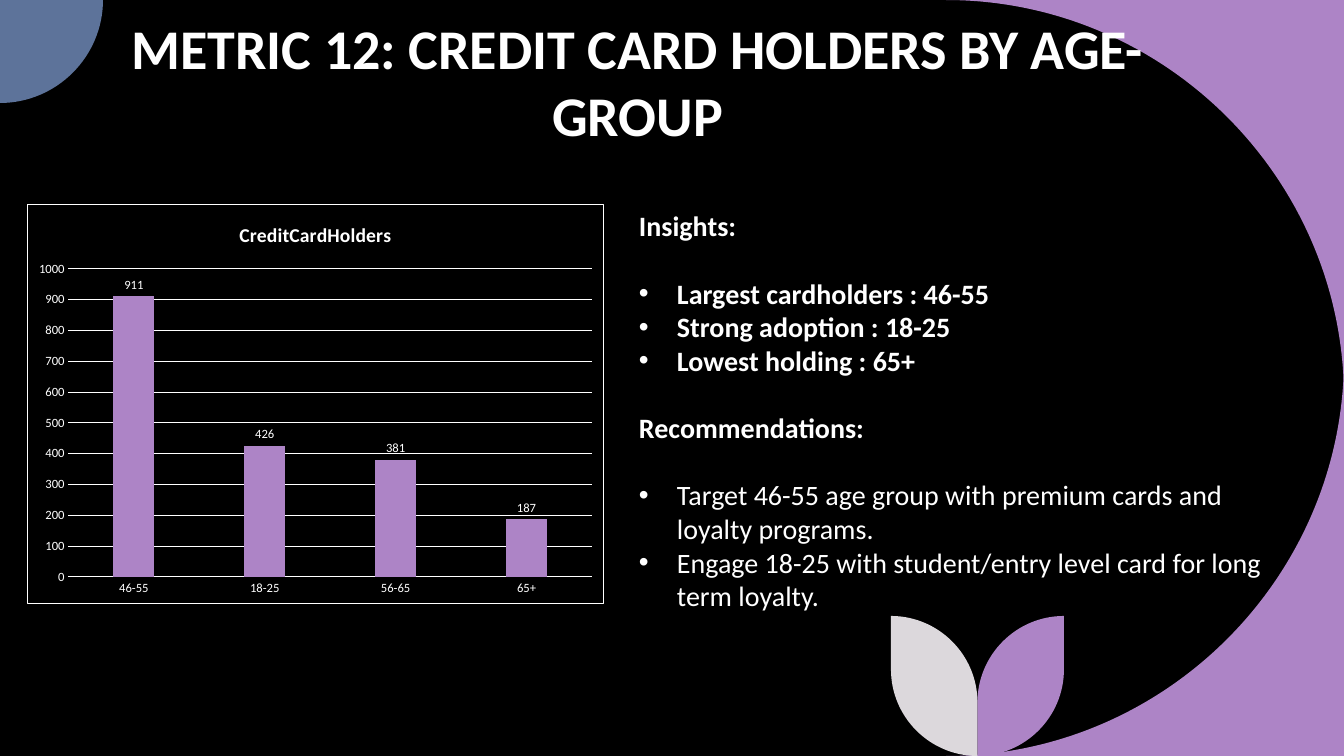
from dataclasses import dataclass

from lxml import etree
from pptx import Presentation
from pptx.chart.data import CategoryChartData
from pptx.dml.color import RGBColor
from pptx.enum.chart import XL_CHART_TYPE, XL_LABEL_POSITION, XL_TICK_MARK
from pptx.enum.text import MSO_ANCHOR, MSO_AUTO_SIZE, PP_ALIGN
from pptx.oxml import parse_xml
from pptx.util import Pt

COLUMN = XL_CHART_TYPE.COLUMN_CLUSTERED
OUT_END = XL_LABEL_POSITION.OUTSIDE_END
NO_TICK = XL_TICK_MARK.NONE
BOTTOM = MSO_ANCHOR.BOTTOM
GROW = MSO_AUTO_SIZE.SHAPE_TO_FIT_TEXT
CENTER = PP_ALIGN.CENTER
DML = "http://schemas.openxmlformats.org/drawingml/2006/main"
CML = "http://schemas.openxmlformats.org/drawingml/2006/chart"
SCALE = 914400 / 100.8
ROUND = 0.55  # pull of a quarter circle towards its corner


@dataclass(frozen=True)
class Theme:
    font: str = "Calibri"
    back: str = "000000"
    ink: str = "FFFFFF"
    plum: str = "AD84C6"
    blue: str = "5D739A"
    pale: str = "DCD8DC"
    head: int = 40
    body: int = 20
    title: int = 14
    small: int = 9
    gap: int = 24
    rule: float = 0.75


THEME = Theme()


def px(n):
    return round(n * SCALE)


def rgb(code):
    return RGBColor.from_string(code)


def style(font, size, bold=False):
    font.name = THEME.font
    font.size = Pt(size)
    font.bold = bold
    font.color.rgb = rgb(THEME.ink)


def bend(shape, line, start, corner):
    """Turn a straight step into a quarter curve drawn towards a corner."""
    end = line[0]
    goal = (px(corner[0]) - shape.left, px(corner[1]) - shape.top)
    curve = etree.Element(f"{{{DML}}}cubicBezTo")
    for spot in (start, end):
        spot = [int(spot.get(k)) for k in "xy"]
        pull = [round(s + ROUND * (g - s)) for s, g in zip(spot, goal)]
        etree.SubElement(curve, f"{{{DML}}}pt", x=str(pull[0]), y=str(pull[1]))
    line.getparent().replace(line, curve)
    curve.append(end)


def outline(slide, start, steps, color):
    """Each step is an end point and the corner of its curve, or None."""
    pen = slide.shapes.build_freeform(*map(px, start))
    pen.add_line_segments([(px(x), px(y)) for (x, y), _ in steps], close=True)
    shape = pen.convert_to_shape()
    shape.shadow.inherit = False
    shape.fill.solid()
    shape.fill.fore_color.rgb = rgb(color)
    shape.line.fill.background()
    spot = next(shape._element.iter(f"{{{DML}}}moveTo"))[0]
    lines = list(shape._element.iter(f"{{{DML}}}lnTo"))
    for line, (_, corner) in zip(lines, steps):
        end = line[0]
        if corner:
            bend(shape, line, spot, corner)
        spot = end


def add_decor(slide, box):
    x, y, w, h = box
    right, base = x + w, y + h
    # Large curve on the right edge
    r = 398
    for edge, way in ((y, 1), (base, -1)):
        tip = (right, edge)
        steps = [((right, edge + way * r), tip), (tip, None)]
        mid = (right - r, edge)
        # The curve bulges away from the corner, so both pulls meet at the tip
        outline(slide, mid, steps, THEME.plum)
    # Quarter disc in the top left corner
    d = 103
    outline(slide, (x, y), [((x + d, y), None), ((x, y + d), (x + d, y + d))],
            THEME.blue)


def add_leaves(slide, box):
    x, y, w, h = box
    r = w / 2
    stem, base = x + r, y + h
    for side, color in ((1, THEME.plum), (-1, THEME.pale)):
        out = stem + side * r
        steps = [((out, base - r), None),
                 ((stem, base), (out, base)),
                 ((stem, y + r), None),
                 ((out, y), (stem, y))]
        outline(slide, (out, y), steps, color)


def add_frame(slide, box):
    frame = slide.shapes.add_textbox(*map(px, box)).text_frame
    frame.word_wrap = True
    return frame


def add_head(slide, box, text):
    frame = add_frame(slide, box)
    frame.vertical_anchor = BOTTOM
    line = frame.paragraphs[0]
    line.text = text
    line.alignment = CENTER
    style(line.font, THEME.head, True)


def add_bullet(line):
    props = line._p.get_or_add_pPr()
    props.set("marL", str(px(38)))
    props.set("indent", str(-px(38)))
    etree.SubElement(props, f"{{{DML}}}buFont").set("typeface", "Arial")
    etree.SubElement(props, f"{{{DML}}}buChar").set("char", "•")


def add_notes(slide, box, parts):
    frame = add_frame(slide, box)
    frame.auto_size = GROW
    line = frame.paragraphs[0]
    for n, (head, bold, items) in enumerate(parts):
        if n:
            line = frame.add_paragraph()
            line.space_before = Pt(THEME.gap)
        line.text = head
        style(line.font, THEME.body, True)
        for i, item in enumerate(items):
            line = frame.add_paragraph()
            line.text = item
            if i == 0:
                line.space_before = Pt(THEME.gap)
            add_bullet(line)
            style(line.font, THEME.body, bold)


def add_bars(slide, box, name, groups):
    data = CategoryChartData()
    data.categories = list(groups)
    data.add_series(name, list(groups.values()))
    chart = slide.shapes.add_chart(COLUMN, *map(px, box), data).chart
    style(chart.font, THEME.small)
    chart.has_legend = False
    chart.has_title = True
    title = chart.chart_title.text_frame.paragraphs[0]
    title.text = name
    style(title.font, THEME.title, True)
    # Chart area: fill and border
    area = parse_xml(
        f'<c:spPr xmlns:c="{CML}" xmlns:a="{DML}">'
        f'<a:solidFill><a:srgbClr val="{THEME.back}"/></a:solidFill>'
        f'<a:ln w="{Pt(THEME.rule)}"><a:solidFill>'
        f'<a:srgbClr val="{THEME.ink}"/></a:solidFill></a:ln></c:spPr>')
    chart._chartSpace.find(f"{{{CML}}}chart").addnext(area)
    # Axes and grid
    cats, vals = chart.category_axis, chart.value_axis
    for axis in (cats, vals):
        axis.major_tick_mark = axis.minor_tick_mark = NO_TICK
        style(axis.tick_labels.font, THEME.small)
    vals.format.line.fill.background()
    for part in (cats, vals.major_gridlines):
        part.format.line.color.rgb = rgb(THEME.ink)
        part.format.line.width = Pt(THEME.rule)
    # Columns and their labels
    plot = chart.plots[0]
    plot.gap_width, plot.overlap = 219, -27
    plot.vary_by_categories = False
    bars = plot.series[0]
    bars.format.fill.solid()
    bars.format.fill.fore_color.rgb = rgb(THEME.plum)
    labels = bars.data_labels
    labels.show_value = True
    labels.position = OUT_END
    style(labels.font, THEME.small)


def main():
    deck = Presentation()
    deck.slide_width, deck.slide_height = px(1344), px(756)
    slide = deck.slides.add_slide(deck.slide_layouts[6])
    slide.background.fill.solid()
    slide.background.fill.fore_color.rgb = rgb(THEME.back)
    add_decor(slide, (0, 0, 1344, 756))
    add_leaves(slide, (891, 616, 173, 140))
    add_head(slide, (97, 38, 1081, 115),
             "METRIC 12: CREDIT CARD HOLDERS BY AGE-GROUP")
    add_notes(slide, (629, 204, 667, 417), [
        ("Insights:", True, [
            "Largest cardholders : 46-55",
            "Strong adoption : 18-25",
            "Lowest holding : 65+"]),
        ("Recommendations:", False, [
            "Target 46-55 age group with premium cards and loyalty programs.",
            "Engage 18-25 with student/entry level card for long term loyalty."]),
    ])
    add_bars(slide, (27, 204, 577, 400), "CreditCardHolders",
             {"46-55": 911, "18-25": 426, "56-65": 381, "65+": 187})
    deck.save("out.pptx")


if __name__ == "__main__":
    main()
